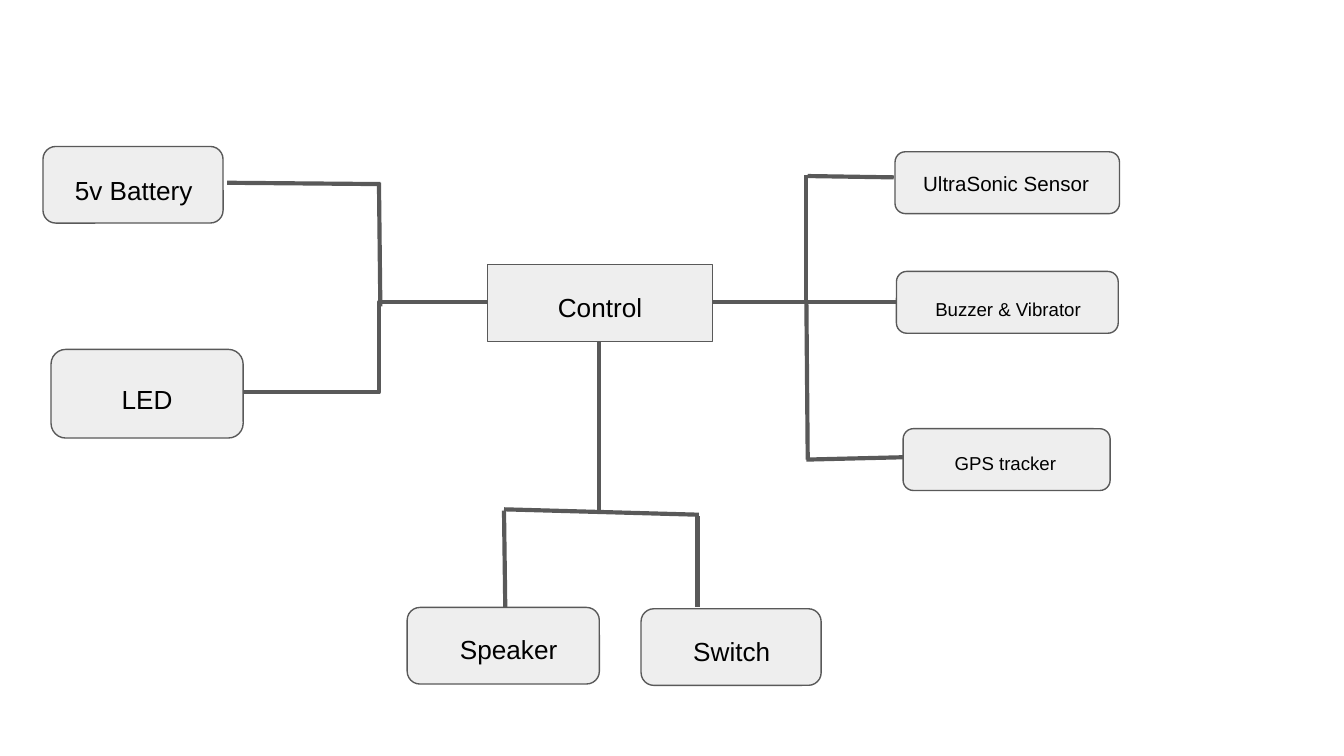
"""Build a block diagram of a controller board and its connected parts."""
from lxml.etree import SubElement
from pptx import Presentation
from pptx.dml.color import RGBColor
from pptx.enum.shapes import MSO_CONNECTOR, MSO_SHAPE
from pptx.enum.text import PP_ALIGN
from pptx.oxml.ns import qn
from pptx.util import Inches, Pt

COLORS = {"fill": "EEEEEE", "line": "595959", "text": "000000"}
FONT = "Arial"
ROUND, SQUARE = MSO_SHAPE.ROUNDED_RECTANGLE, MSO_SHAPE.RECTANGLE
LEFT, CENTER = PP_ALIGN.LEFT, PP_ALIGN.CENTER

BLOCKS = [
    ("Control", SQUARE, (3.63, 1.97, 1.67, 0.57), (3.75, 2.07, 1.43, 0.37), 14, CENTER),
    ("UltraSonic Sensor", ROUND, (6.66, 1.13, 1.67, 0.46), (6.77, 1.18, 1.48, 0.37), 11, LEFT),
    ("Buzzer & Vibrator", ROUND, (6.67, 2.02, 1.65, 0.46), (6.76, 2.13, 1.48, 0.27), 10, CENTER),
    ("GPS tracker", ROUND, (6.72, 3.19, 1.54, 0.46), (6.81, 3.28, 1.34, 0.27), 10, CENTER),
    ("5v Battery", ROUND, (0.32, 1.09, 1.34, 0.57), (0.39, 1.2, 1.21, 0.27), 14, CENTER),
    ("LED", ROUND, (0.38, 2.6, 1.43, 0.66), (0.49, 2.75, 1.21, 0.37), 14, CENTER),
    ("Speaker", ROUND, (3.03, 4.52, 1.43, 0.57), (3.18, 4.61, 1.21, 0.37), 14, CENTER),
    ("Switch", ROUND, (4.77, 4.53, 1.34, 0.57), (4.84, 4.63, 1.21, 0.37), 14, CENTER),
]
WIRES = [
    (5.3, 2.25, 6.76, 2.25),
    (6, 2.23, 6, 1.3),
    (6, 2.26, 6.01, 3.42),
    (6.01, 1.31, 6.65, 1.32),
    (6, 3.42, 6.81, 3.4),
    (2.83, 2.28, 2.82, 1.36),
    (1.69, 1.36, 2.83, 1.37),
    (4.46, 2.54, 4.46, 3.82),
    (3.75, 3.79, 5.2, 3.83),
    (5.19, 3.84, 5.19, 4.52),
    (3.75, 3.8, 3.76, 4.55),
]
LED_WIRE = (3.63, 2.25, 1.81, 2.92)
LED_BEND = 44500


def color(name):
    return RGBColor.from_string(COLORS[name])


def add_wire(page, ends, kind=MSO_CONNECTOR.STRAIGHT):
    wire = page.shapes.add_connector(kind, *map(Inches, ends))
    wire.line.color.rgb = color("line")
    wire.line.width = Pt(2.25)
    properties = wire._element.spPr
    SubElement(properties, qn("a:effectLst"))
    return properties


def add_bent_wire(page, ends, bend):
    geometry = add_wire(page, ends, MSO_CONNECTOR.ELBOW).find(qn("a:prstGeom"))
    guides = geometry.find(qn("a:avLst"))
    if guides is None:
        guides = SubElement(geometry, qn("a:avLst"))
    SubElement(guides, qn("a:gd"), name="adj1", fmla=f"val {bend}")


def add_block(page, label, outline, frame, label_frame, size, alignment):
    block = page.shapes.add_shape(outline, *map(Inches, frame))
    block.shadow.inherit = False
    block.fill.solid()
    block.fill.fore_color.rgb = color("fill")
    block.line.color.rgb = color("line")
    block.line.width = Pt(0.75)

    box = page.shapes.add_textbox(*map(Inches, label_frame)).text_frame
    box.word_wrap = True
    box.margin_left = box.margin_right = Inches(0.1)
    box.margin_top = box.margin_bottom = Inches(0.1)
    para = box.paragraphs[0]
    para.text = label
    para.alignment = alignment
    para.font.name = FONT
    para.font.size = Pt(size)
    para.font.color.rgb = color("text")


def main():
    deck = Presentation()
    deck.slide_width = Inches(10)
    deck.slide_height = deck.slide_width * 9 // 16
    page = deck.slides.add_slide(deck.slide_layouts[6])
    for ends in WIRES:
        add_wire(page, ends)
    add_bent_wire(page, LED_WIRE, LED_BEND)
    for block in BLOCKS:
        add_block(page, *block)
    deck.save("out.pptx")


if __name__ == "__main__":
    main()
